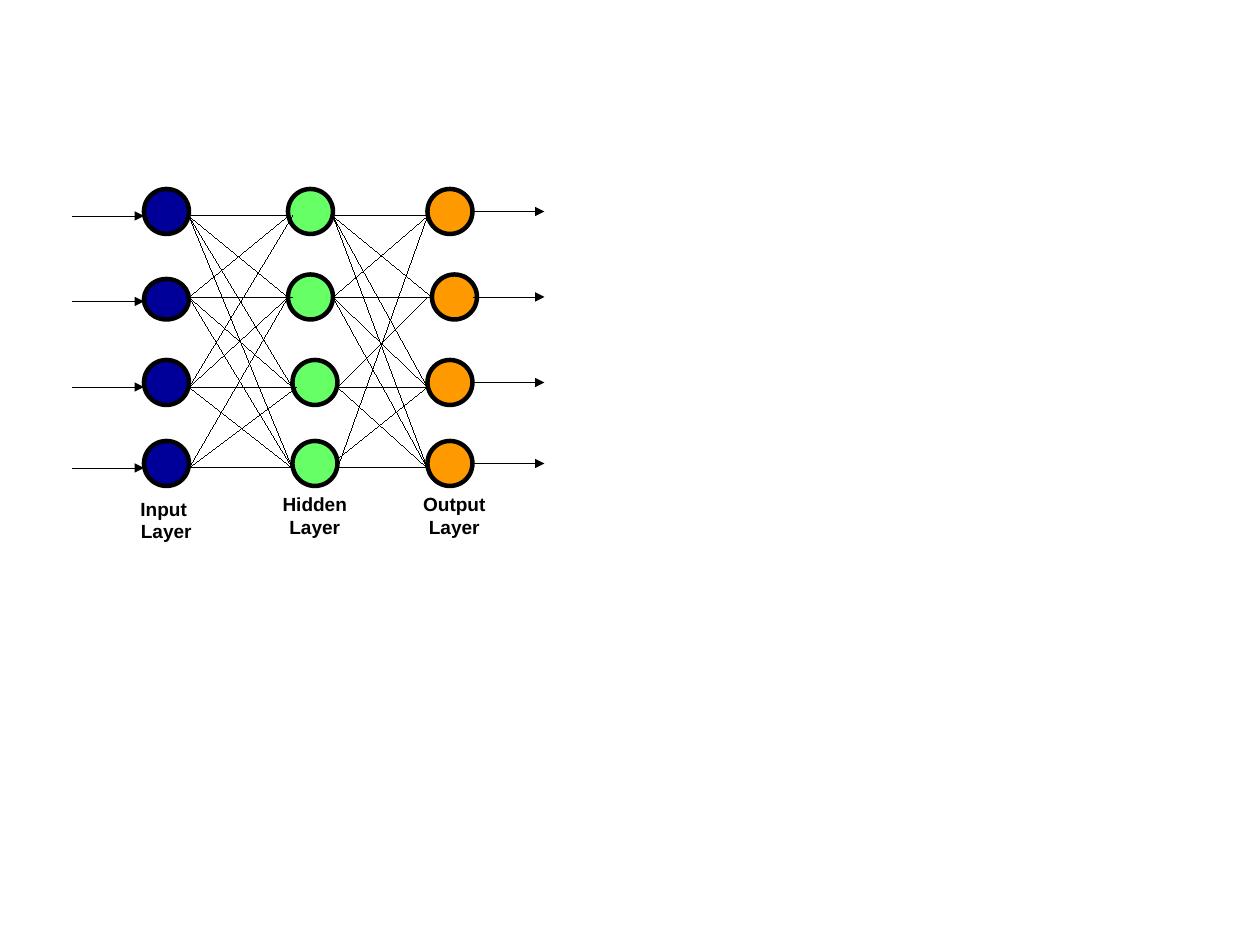
import dataclasses
import itertools

import lxml.etree
import pptx
import pptx.dml.color
import pptx.enum.shapes
import pptx.enum.text
import pptx.oxml.ns
import pptx.util


@dataclasses.dataclass(frozen=True)
class Theme:
    ink: str = "000000"
    input_fill: str = "000099"
    hidden_fill: str = "66FF66"
    output_fill: str = "FF9900"
    font: str = "Arial"
    label_size: float = 12
    outline: float = 2.83
    hairline: float = 0


THEME = Theme()
STEP = 2.83
DIAMETER = 28.35
NODE_TOPS = (119.06, 172.91, 226.77, 277.8)
PORT_ROWS = (136.06, 187.09, 243.78, 294.8)
INPUT_ARROW_ROWS = (136.06, 189.92, 243.78, 294.8)
ARROW_LENGTH = 45.35
INPUT_ARROW_LEFT = 45.35
LABEL_SIZE = (79.2, 47.5)

LAYERS = (
    {"fill": THEME.input_fill, "lefts": (90.71,) * 4,
     "label": ("Input ", "Layer"), "label_at": (65.2, 309.6)},
    {"fill": THEME.hidden_fill, "lefts": (181.42, 181.42, 184.25, 184.25),
     "label": ("Hidden Layer",), "label_at": (158.7, 306.7)},
    {"fill": THEME.output_fill, "lefts": (269.29, 272.13, 269.29, 269.29),
     "label": ("Output Layer",), "label_at": (246.6, 306.7)},
)

MISSING_LINKS = {(0, 3, 0), (1, 2, 0), (1, 3, 1)}
START_SHIFTS = {(1, 3, 2): (0, -5.67), (1, 3, 3): (1.3, 0)}
END_SHIFTS = {
    (0, 1, 1): STEP,
    (0, 2, 0): STEP,
    (0, 2, 2): STEP,
    (0, 3, 2): STEP,
    (1, 2, 1): -STEP,
}


class Diagram:
    def __init__(self, slide, theme):
        self.slide = slide
        self.theme = theme

    def color(self, value):
        return pptx.dml.color.RGBColor.from_string(value)

    def apply(self, target, values):
        for name, value in values.items():
            setattr(target, name, value)

    def stroke(self, line, width):
        line.width = pptx.util.Pt(width)
        line.fill.solid()
        line.fill.fore_color.rgb = self.color(self.theme.ink)

    def node(self, left, top, height, fill):
        lengths = [pptx.util.Pt(value) for value in (left, top, DIAMETER, height)]
        node = self.slide.shapes.add_shape(
            pptx.enum.shapes.MSO_SHAPE.OVAL, *lengths)
        node.shadow.inherit = False
        node.fill.solid()
        node.fill.fore_color.rgb = self.color(fill)
        self.stroke(node.line, self.theme.outline)

    def link(self, start, end, arrow=False):
        lengths = [pptx.util.Pt(value) for value in (*start, *end)]
        link = self.slide.shapes.add_connector(
            pptx.enum.shapes.MSO_CONNECTOR.STRAIGHT, *lengths)
        self.stroke(link.line, self.theme.hairline)
        properties = link._element.spPr
        line = properties.find(pptx.oxml.ns.qn("a:ln"))
        line.set("w", str(pptx.util.Pt(self.theme.hairline)))
        if arrow:
            lxml.etree.SubElement(
                line, pptx.oxml.ns.qn("a:tailEnd"), type="triangle")
        lxml.etree.SubElement(properties, pptx.oxml.ns.qn("a:effectLst"))

    def label(self, position, lines):
        lengths = [pptx.util.Pt(value) for value in (*position, *LABEL_SIZE)]
        frame = self.slide.shapes.add_textbox(*lengths).text_frame
        self.apply(frame, {
            "word_wrap": True,
            "auto_size": pptx.enum.text.MSO_AUTO_SIZE.SHAPE_TO_FIT_TEXT,
            "margin_left": pptx.util.Pt(7.2),
            "margin_right": pptx.util.Pt(7.2),
            "margin_top": pptx.util.Pt(3.6),
            "margin_bottom": pptx.util.Pt(3.6),
        })
        for index, text in enumerate(lines):
            para = frame.add_paragraph() if index else frame.paragraphs[0]
            para.alignment = pptx.enum.text.PP_ALIGN.CENTER
            span = para.add_run()
            span.text = text
            self.apply(span.font, {
                "name": self.theme.font,
                "size": pptx.util.Pt(self.theme.label_size),
                "bold": True,
            })
            span.font.color.rgb = self.color(self.theme.ink)


def draw_nodes(diagram):
    for layer_index, layer in enumerate(LAYERS):
        for row, (left, top) in enumerate(zip(layer["lefts"], NODE_TOPS)):
            inset = STEP if (layer_index, row) == (0, 1) else 0
            diagram.node(left, top + inset, DIAMETER - inset, layer["fill"])


def draw_links(diagram):
    rows = range(len(PORT_ROWS))
    for key in itertools.product(range(len(LAYERS) - 1), rows, rows):
        if key in MISSING_LINKS:
            continue
        layer, source, target = key
        shift_x, shift_y = START_SHIFTS.get(key, (0, 0))
        start = (LAYERS[layer]["lefts"][source] + DIAMETER + shift_x,
                 PORT_ROWS[source] + shift_y)
        end = (LAYERS[layer + 1]["lefts"][target] + END_SHIFTS.get(key, 0),
               PORT_ROWS[target])
        diagram.link(start, end)


def draw_arrows(diagram):
    output_left = LAYERS[-1]["lefts"][0] + DIAMETER
    output_rows = [top + DIAMETER / 2 for top in NODE_TOPS]
    for left, rows in ((INPUT_ARROW_LEFT, INPUT_ARROW_ROWS),
                       (output_left, output_rows)):
        for row in rows:
            diagram.link((left, row), (left + ARROW_LENGTH, row), arrow=True)


def main():
    deck = pptx.Presentation()
    deck.slide_width = pptx.util.Pt(793.7)
    deck.slide_height = pptx.util.Pt(595.28)
    page = deck.slides.add_slide(deck.slide_layouts[6])
    diagram = Diagram(page, THEME)
    draw_nodes(diagram)
    draw_links(diagram)
    draw_arrows(diagram)
    for layer in LAYERS:
        diagram.label(layer["label_at"], layer["label"])
    deck.save("out.pptx")


if __name__ == "__main__":
    main()
